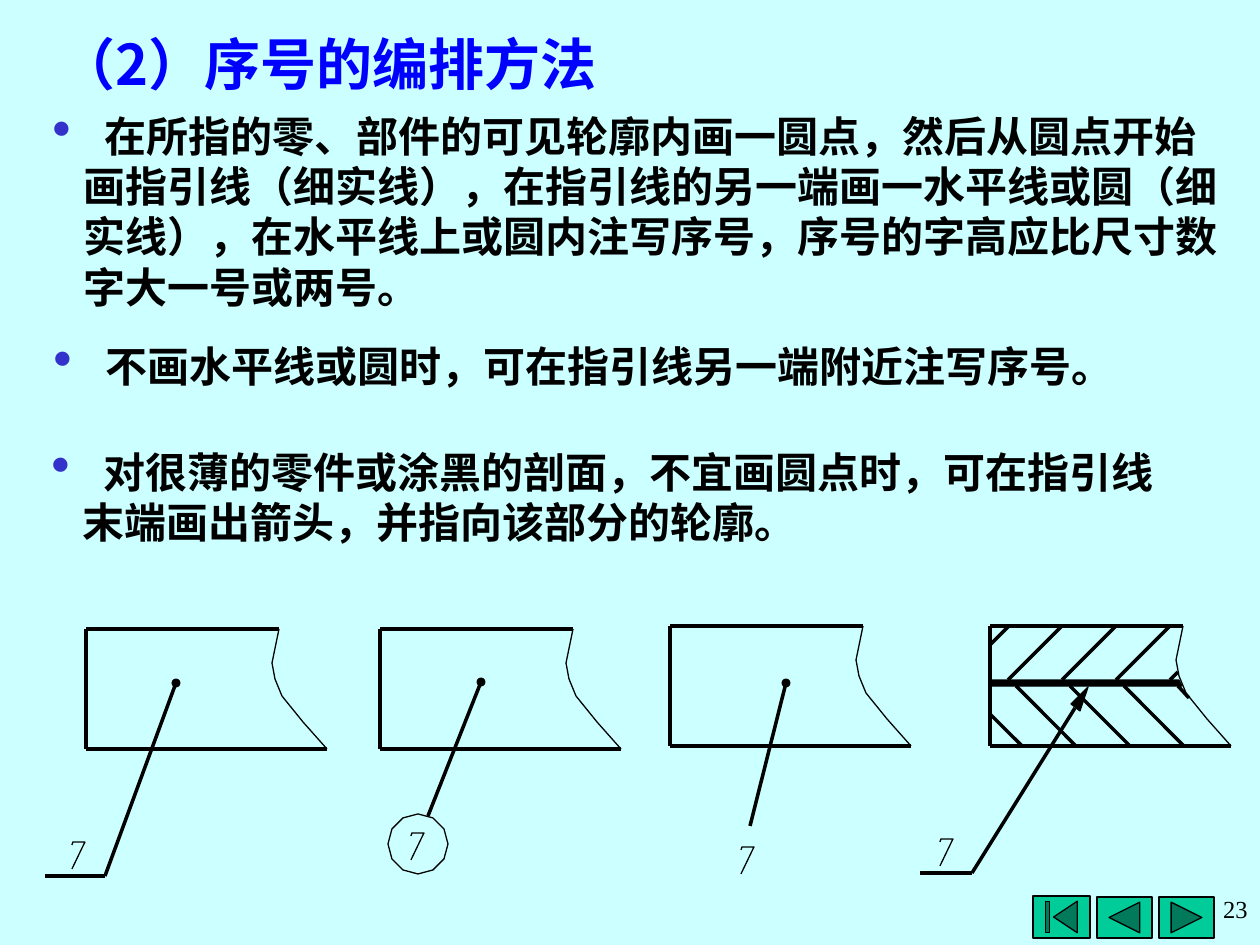
import itertools
import math
from dataclasses import dataclass

import pptx
import pptx.dml.color
import pptx.enum.shapes
import pptx.enum.text
import pptx.oxml.ns
import pptx.util
from lxml import etree

SCALE = 914400 / 126
SHAPES = pptx.enum.shapes.MSO_SHAPE


@dataclass(frozen=True)
class Theme:
    background: str = "CCFFFF"
    title: str = "0000FF"
    ink: str = "000000"
    bullet: str = "3333CC"
    button: str = "00CC99"
    chinese: str = "Noto Sans CJK SC"
    latin: str = "Times New Roman"
    title_size: int = 32
    body_size: int = 24
    number_size: int = 14
    outline: float = 2.25
    hairline: float = 0
    button_line: float = 0.75


THEME = Theme()
LINE_PITCH = 1.2
PART_HEIGHT = 120
TOP_WIDTH = 193
BOTTOM_WIDTH = 241
BREAK_EDGE = [(193, 0), (186, 34), (189, 50), (196, 67), (217, 93), (241, 120)]
SEVEN = [(0, 27), (13, 0), (1, 0), (0, 3)]

TITLE = "（2）序号的编排方法"
# The en space sets the first line in behind its bullet.
RULES = [
    ((40, 104, 1196, 214), "\u2002在所指的零、部件的可见轮廓内画一圆点，然后从圆点开始画指引线（细实线），"
     "在指引线的另一端画一水平线或圆（细实线），在水平线上或圆内注写序号，"
     "序号的字高应比尺寸数字大一号或两号。"),
    ((41, 334, 1168, 63), "\u2002不画水平线或圆时，可在指引线另一端附近注写序号。"),
    ((39, 440, 1152, 113), "\u2002对很薄的零件或涂黑的剖面，不宜画圆点时，"
     "可在指引线末端画出箭头，并指向该部分的轮廓。"),
]
BUTTONS = [
    (SHAPES.ACTION_BUTTON_BEGINNING, (1033, 896, 57, 42)),
    (SHAPES.ACTION_BUTTON_BACK_OR_PREVIOUS, (1097, 897, 55, 41)),
    (SHAPES.ACTION_BUTTON_FORWARD_OR_NEXT, (1159, 897, 55, 41)),
]


def px(length):
    return pptx.util.Emu(round(length * SCALE))


def rgb(code):
    return pptx.dml.color.RGBColor.from_string(code)


def shifted(points, origin):
    return [(origin[0] + x, origin[1] + y) for x, y in points]


def add_text(page, place, text, size, color, font, bold=True):
    box = page.shapes.add_textbox(*map(px, place))
    box.text_frame.word_wrap = True
    para = box.text_frame.paragraphs[0]
    para.text = text
    para.font.size = pptx.util.Pt(size)
    para.font.bold = bold
    para.font.name = font
    para.font.color.rgb = rgb(color)
    latin = para.font._element.find(pptx.oxml.ns.qn("a:latin"))
    east_asian = etree.Element(pptx.oxml.ns.qn("a:ea"), typeface=THEME.chinese)
    latin.addnext(east_asian)
    para.line_spacing = pptx.util.Pt(size * LINE_PITCH)
    return para


def add_bullet(para):
    properties = para._p.get_or_add_pPr()
    properties.set("marL", str(px(31)))
    properties.set("indent", str(-px(31)))
    name = pptx.oxml.ns.qn
    color = etree.Element(name("a:buClr"))
    etree.SubElement(color, name("a:srgbClr"), val=THEME.bullet)
    size = etree.Element(name("a:buSzPct"), val="130000")
    mark = etree.Element(name("a:buChar"), char="•")
    default_font = properties.find(name("a:defRPr"))
    for element in (color, size, mark):
        default_font.addprevious(element)


def add_lines(page, points, width=THEME.hairline):
    """Join successive points with straight lines."""
    for start, end in itertools.pairwise(points):
        line = page.shapes.add_connector(
            pptx.enum.shapes.MSO_CONNECTOR.STRAIGHT, *map(px, (*start, *end)))
        line.line.color.rgb = rgb(THEME.ink)
        line.line.width = pptx.util.Pt(width)
        etree.SubElement(line._element.spPr, pptx.oxml.ns.qn("a:effectLst"))


def paint(shape, fill=None, width=None):
    shape.shadow.inherit = False
    if fill is None:
        shape.fill.background()
    else:
        shape.fill.solid()
        shape.fill.fore_color.rgb = rgb(fill)
    if width is None:
        shape.line.fill.background()
    else:
        shape.line.color.rgb = rgb(THEME.ink)
        shape.line.width = pptx.util.Pt(width)


def add_outline(page, points, fill=None, close=False):
    """Draw a hairline path, or a solid area when a fill is given."""
    builder = page.shapes.build_freeform(*points[0], scale=SCALE)
    builder.add_line_segments(points[1:], close=close)
    paint(builder.convert_to_shape(), fill, THEME.hairline)


def add_part(page, origin):
    """Draw a part with three heavy edges and a broken right edge."""
    edges = [(TOP_WIDTH, 0), (0, 0), (0, PART_HEIGHT), (BOTTOM_WIDTH, PART_HEIGHT)]
    add_lines(page, shifted(edges, origin), THEME.outline)
    add_outline(page, shifted(BREAK_EDGE, origin))


def add_dot(page, center, size=9):
    place = (center[0] - size / 2, center[1] - size / 2, size, size)
    paint(page.shapes.add_shape(SHAPES.OVAL, *map(px, place)), THEME.ink)


def add_number_ring(page, center, radius):
    angles = [math.radians(30 * step) for step in range(12)]
    ring = [(round(radius * math.cos(a)), round(radius * math.sin(a))) for a in angles]
    add_outline(page, shifted(ring, center), close=True)


def add_section(page, origin):
    """Hatch two plates and fill the thin sheet between them."""
    upper = [[(x, 54), (x + 54, 0)] for x in range(18, 180, 54)]
    lower = [[(x, 60), (x + 60, PART_HEIGHT)] for x in range(26, 180, 54)]
    corners = [[(0, 19), (19, 0)], [(180, 54), (188, 46)],
               [(0, 88), (32, PART_HEIGHT)], [(188, 60), (199, 72)]]
    for stroke in upper + lower + corners:
        add_lines(page, shifted(stroke, origin))
    sheet = [(0, 54), (189, 54), (192, 60), (0, 60)]
    add_outline(page, shifted(sheet, origin), THEME.ink, close=True)


def add_drawings(page):
    drawings = [  # part corner, dot, leader, number
        ((86, 629), (176, 683), [(176, 683), (105, 876), (45, 876)], (72, 842)),
        ((380, 629), (481, 682), [(481, 682), (428, 816)], (411, 833)),
        ((670, 626), (786, 683), [(786, 683), (750, 826)], (741, 847)),
        ((990, 626), None, [(1075, 708), (972, 873), (920, 873)], (940, 839)),
    ]
    for corner, dot, leader, number in drawings:
        add_part(page, corner)
        if dot:
            add_dot(page, dot)
        else:
            add_section(page, corner)
            add_outline(page, [(1088, 687), (1071, 704), (1080, 711)],
                        THEME.ink, close=True)
        add_lines(page, leader)
        add_outline(page, shifted(SEVEN, number))
    add_number_ring(page, (418, 844), 30)


def main():
    deck = pptx.Presentation()
    deck.slide_width, deck.slide_height = px(1260), px(945)
    page = deck.slides.add_slide(deck.slide_layouts[6])
    page.background.fill.solid()
    page.background.fill.fore_color.rgb = rgb(THEME.background)

    for kind, place in BUTTONS:
        button = page.shapes.add_shape(kind, *map(px, place))
        paint(button, THEME.button, THEME.button_line)
    add_text(page, (47, 23, 609, 81), TITLE, THEME.title_size, THEME.title, THEME.chinese)
    for place, text in RULES:
        add_bullet(add_text(page, place, text, THEME.body_size, THEME.ink, THEME.latin))
    add_drawings(page)
    number = add_text(page, (942, 888, 318, 50), "23", THEME.number_size,
                      THEME.ink, THEME.latin, bold=False)
    number.alignment = pptx.enum.text.PP_ALIGN.RIGHT
    deck.save("out.pptx")


if __name__ == "__main__":
    main()
